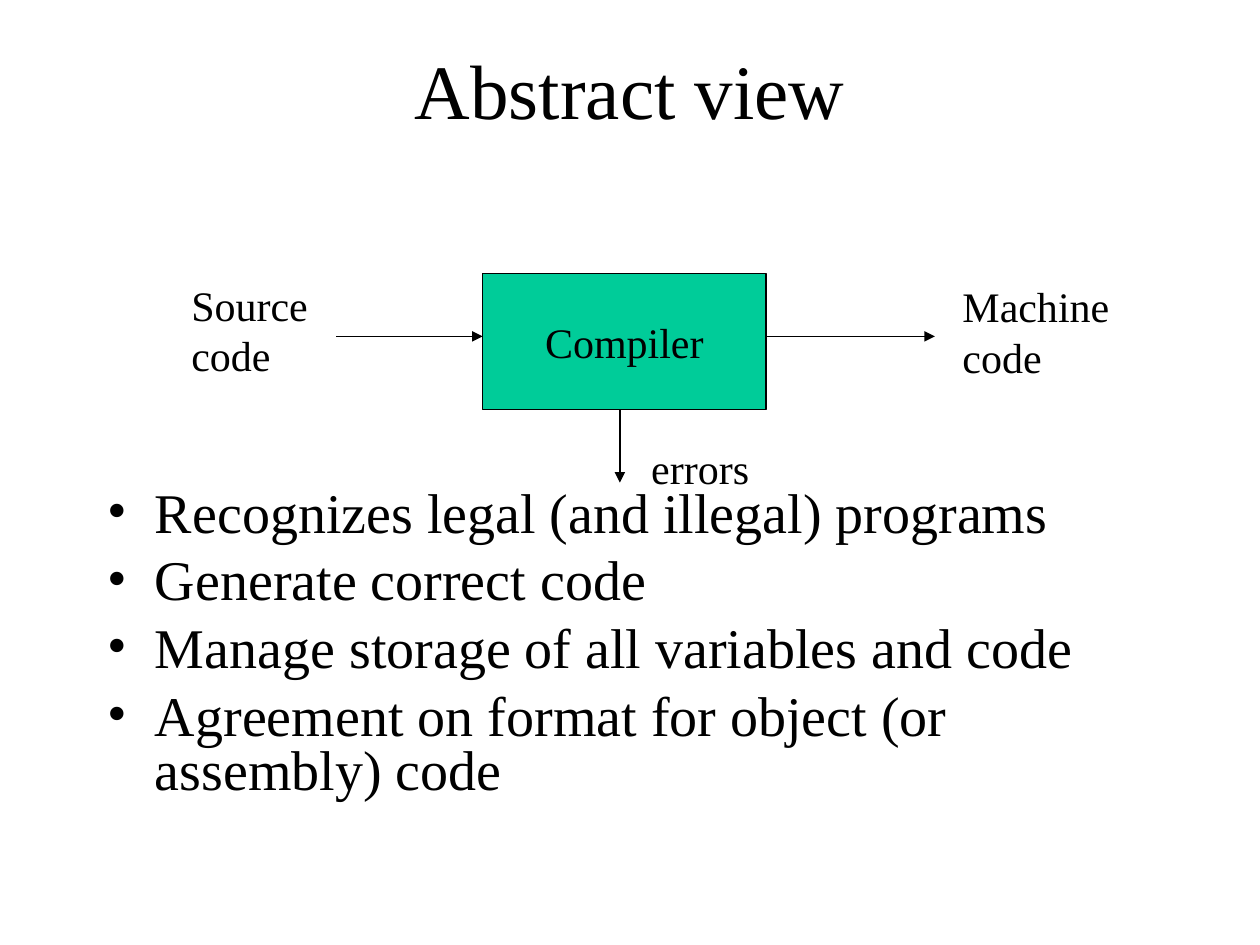
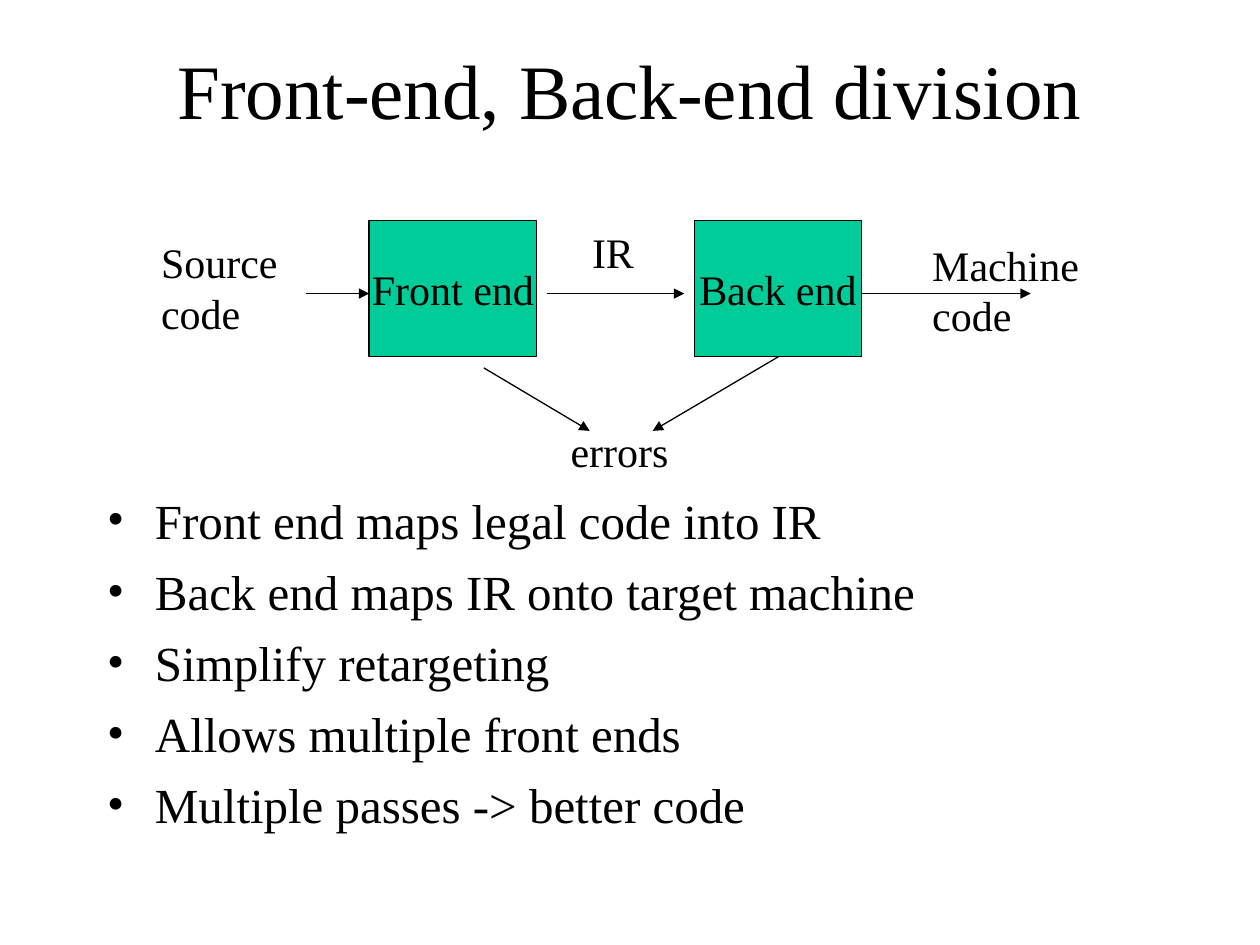
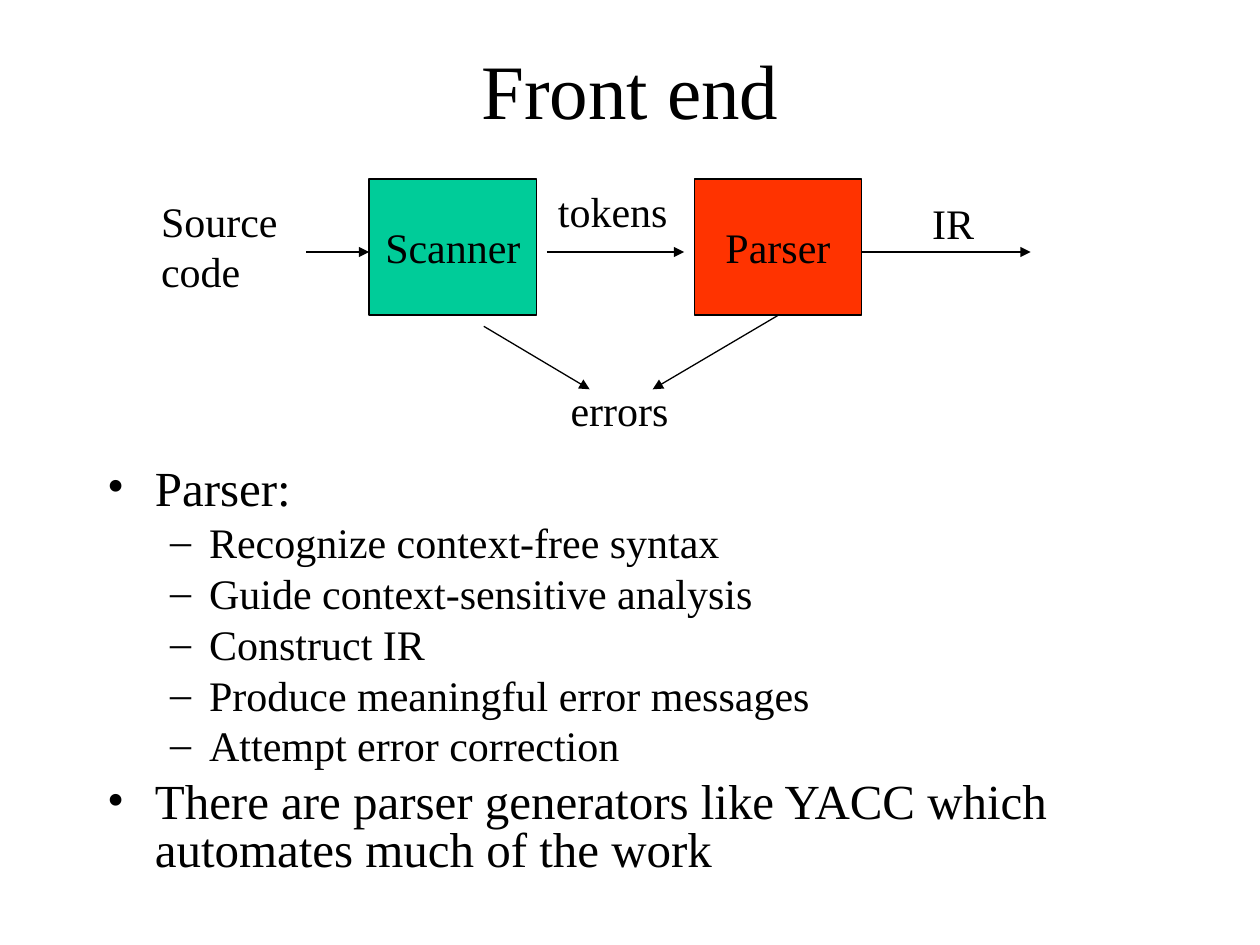
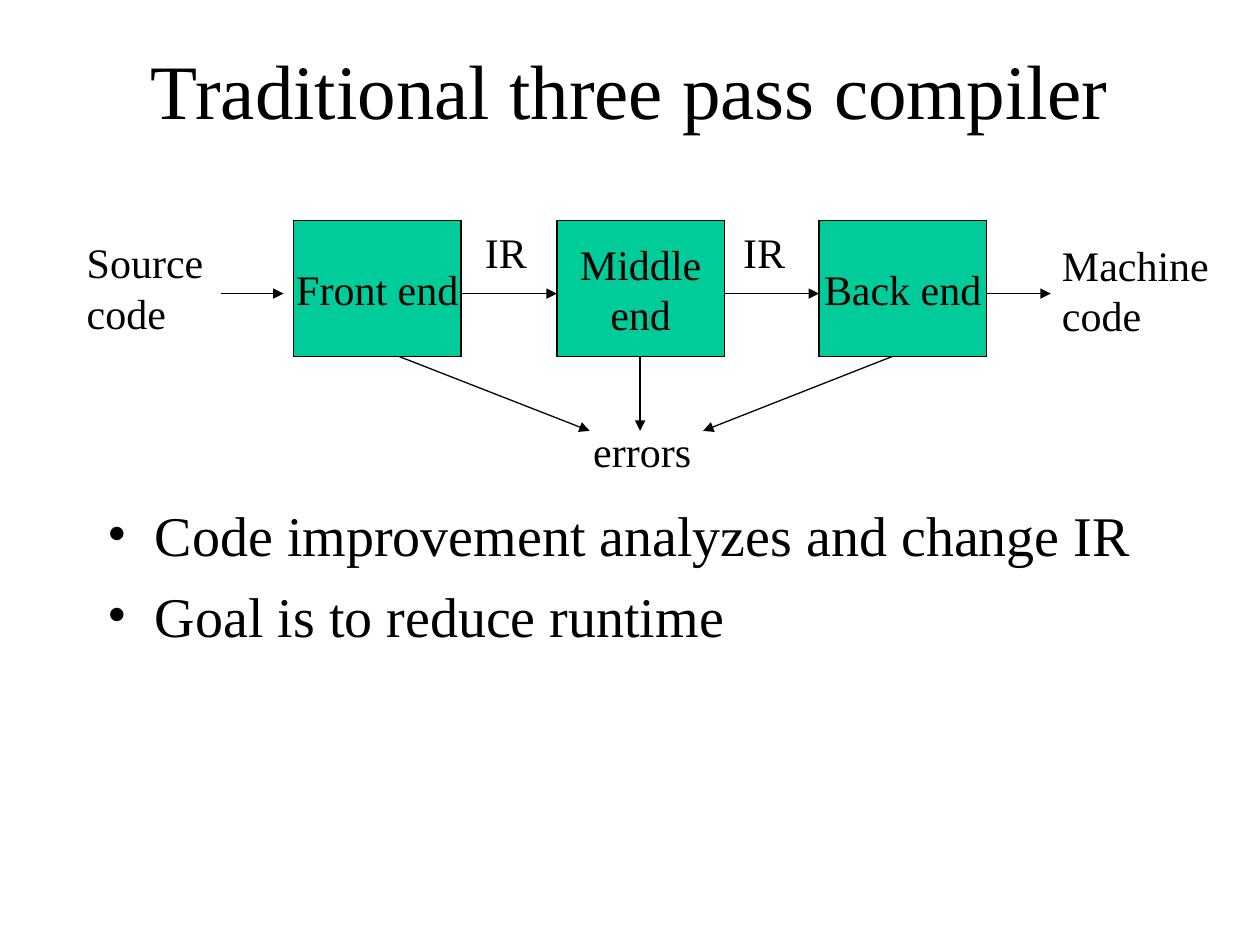
import pptx
import pptx.util
import pptx.dml.color
import pptx.enum.shapes
import pptx.enum.text
import pptx.oxml
import pptx.oxml.ns
from pptx.util import Inches

BLACK = pptx.dml.color.RGBColor(0x00, 0x00, 0x00)
GREEN = pptx.dml.color.RGBColor(0x00, 0xCC, 0x99)
RED = pptx.dml.color.RGBColor(0xFF, 0x33, 0x00)

FONT = "Times New Roman"
TITLE_SIZE, LABEL_SIZE = 44, 24
LINE_WIDTH = pptx.util.Pt(0.75)
BOX_HEIGHT = 1.08
STAGE_WIDTH = 1.33
# Wide enough for each label to stay on its own lines
LABEL_WIDTHS = {"Source\ncode": 1.14, "Machine\ncode": 1.38, "errors": 0.99, "tokens": 1.09, "IR": 0.55}
# Per list level: bullet character, left margin and hanging indent
BULLETS = [("•", 0.38, -0.38), ("–", 0.81, -0.31)]

MIDDLE = pptx.enum.text.MSO_ANCHOR.MIDDLE
CENTER = pptx.enum.text.PP_ALIGN.CENTER
AUTO_SIZE = pptx.enum.text.MSO_AUTO_SIZE


def add_xml(parent, tag, **attributes):
    child = pptx.oxml.parse_xml(f"<a:{tag} {pptx.oxml.ns.nsdecls('a')}/>")
    for name, value in attributes.items():
        child.set(name, value)
    parent.append(child)
    return child


class Deck:
    def __init__(self):
        self.prs = pptx.Presentation()
        self.prs.slide_width, self.prs.slide_height = Inches(10), Inches(7.5)
        self.s = None

    def style(self, p, size):
        for r in p.runs:
            r.font.name = FONT
            r.font.size = pptx.util.Pt(size)
            r.font.color.rgb = BLACK

    def place(self, sp, left, top, width, height):
        sp.left, sp.top = Inches(left), Inches(top)
        sp.width, sp.height = Inches(width), Inches(height)

    def slide(self, title):
        self.s = self.prs.slides.add_slide(self.prs.slide_layouts[1])
        sp = self.s.shapes.title
        self.place(sp, 0.75, 0.08, 8.5, 1.25)
        tf = sp.text_frame
        tf.text = title
        tf.auto_size = AUTO_SIZE.NONE
        tf.vertical_anchor = MIDDLE
        tf.paragraphs[0].alignment = CENTER
        self.style(tf.paragraphs[0], TITLE_SIZE)

    def bullets(self, items, top, height, size, line_spacing=1.0):
        """Fill the body; an item is a text, or a list of second-level texts."""
        sp = self.s.placeholders[1]
        self.place(sp, 0.75, top, 8.5, height)
        rows = []
        for item in items:
            rows += [(text, 1) for text in item] if isinstance(item, list) else [(item, 0)]
        tf = sp.text_frame
        tf.text = "\n".join(text for text, level in rows)
        tf.auto_size = AUTO_SIZE.NONE
        for p, (text, level) in zip(tf.paragraphs, rows):
            level_size = size - 4 * level
            char, margin, indent = BULLETS[level]
            p.level = level
            p.line_spacing = line_spacing
            p.space_before = pptx.util.Pt(level_size / 4)
            self.style(p, level_size)
            pPr = p._p.get_or_add_pPr()
            pPr.set("marL", str(Inches(margin)))
            pPr.set("indent", str(Inches(indent)))
            add_xml(add_xml(pPr, "buClr"), "srgbClr", val=str(BLACK))
            add_xml(pPr, "buFont", typeface=FONT)
            add_xml(pPr, "buChar", char=char)

    def box(self, text, left, top, width=STAGE_WIDTH, fill=GREEN):
        sp = self.s.shapes.add_shape(
            pptx.enum.shapes.MSO_SHAPE.RECTANGLE,
            Inches(left), Inches(top), Inches(width), Inches(BOX_HEIGHT))
        sp.shadow.inherit = False
        sp.fill.solid()
        sp.fill.fore_color.rgb = fill
        sp.line.color.rgb = BLACK
        sp.line.width = LINE_WIDTH
        tf = sp.text_frame
        tf.text = text
        tf.word_wrap = False
        tf.vertical_anchor = MIDDLE
        for p in tf.paragraphs:
            p.alignment = CENTER
            self.style(p, LABEL_SIZE)

    def label(self, text, left, top):
        height = 0.9 if "\n" in text else 0.5
        sp = self.s.shapes.add_textbox(
            Inches(left), Inches(top), Inches(LABEL_WIDTHS[text]), Inches(height))
        tf = sp.text_frame
        tf.text = text
        tf.word_wrap = False
        tf.auto_size = AUTO_SIZE.SHAPE_TO_FIT_TEXT
        for p in tf.paragraphs:
            self.style(p, LABEL_SIZE)

    def arrow(self, x1, y1, x2, y2):
        c = self.s.shapes.add_connector(
            pptx.enum.shapes.MSO_CONNECTOR.STRAIGHT,
            Inches(x1), Inches(y1), Inches(x2), Inches(y2))
        c.line.color.rgb = BLACK
        c.line.width = LINE_WIDTH
        spPr = c._element.spPr
        add_xml(spPr.find(pptx.oxml.ns.qn("a:ln")), "tailEnd", type="triangle")
        add_xml(spPr, "effectLst")

    def flow(self, y, spans):
        """Draw horizontal arrows at height y, one for each (start, end)."""
        for start, end in spans:
            self.arrow(start, y, end, y)

    def two_stages(self, top, first, between, between_left, second, result, second_fill=GREEN):
        """Draw source -> first -> second -> result, with errors from both stages."""
        middle, bottom, errors = top + 0.58, top + BOX_HEIGHT, top + 1.67
        self.box(first, 2.93, top)
        self.box(second, 5.51, top, fill=second_fill)
        self.flow(middle, [(2.43, 2.93), (4.34, 5.43), (6.84, 8.18)])
        self.arrow(3.84, bottom + 0.09, 4.68, errors)
        self.arrow(6.18, bottom, 5.18, errors)
        self.label("Source\ncode", 1.18, top + 0.08)
        self.label(between, between_left, top)
        self.label(result, 7.3, top + 0.1)
        self.label("errors", 4.43, top + 1.58)


def abstract_view(deck):
    deck.slide("Abstract view")
    deck.bullets([
        "Recognizes legal (and illegal) programs",
        "Generate correct code",
        "Manage storage of all variables and code",
        "Agreement on format for object (or assembly) code",
    ], 3.84, 2.82, 32, 0.8)
    deck.box("Compiler", 3.83, 2.17, 2.25)
    deck.flow(2.67, [(2.67, 3.83), (6.08, 7.42)])
    deck.arrow(4.92, 3.25, 4.92, 3.83)
    deck.label("Source\ncode", 1.42, 2.17)
    deck.label("Machine\ncode", 7.54, 2.18)
    deck.label("errors", 5.07, 3.46)


def division(deck):
    deck.slide("Front-end, Back-end division")
    deck.bullets([
        "Front end maps legal code into IR",
        "Back end maps IR onto target machine",
        "Simplify retargeting",
        "Allows multiple front ends",
        "Multiple passes -> better code",
    ], 3.84, 2.82, 28)
    deck.two_stages(1.75, "Front end", "IR", 4.6, "Back end", "Machine\ncode")


def front_end(deck):
    deck.slide("Front end")
    deck.bullets([
        "Parser:",
        [
            "Recognize context-free syntax",
            "Guide context-sensitive analysis",
            "Construct IR",
            "Produce meaningful error messages",
            "Attempt error correction",
        ],
        "There are parser generators like YACC which automates much of the work",
    ], 3.67, 3.58, 28, 0.8)
    deck.two_stages(1.42, "Scanner", "tokens", 4.33, "Parser", "IR", RED)


def three_passes(deck):
    top = 1.75
    bottom, errors = top + BOX_HEIGHT, top + 1.67
    deck.slide("Traditional three pass compiler")
    deck.bullets([
        "Code improvement analyzes and change IR",
        "Goal is to reduce runtime",
    ], 3.92, 2.75, 32)
    for stage, left in [("Front end", 2.33), ("Middle\nend", 4.42), ("Back end", 6.5)]:
        deck.box(stage, left, top)
    deck.flow(top + 0.58, [(1.75, 2.25), (3.67, 4.42), (5.75, 6.5), (7.83, 8.34)])
    for start, end in [(3.17, 4.68), (5.08, 5.08), (7.08, 5.58)]:
        deck.arrow(start, bottom, end, errors)
    deck.label("Source\ncode", 0.59, top + 0.08)
    deck.label("IR", 3.75, top)
    deck.label("IR", 5.8, top)
    deck.label("Machine\ncode", 8.33, top + 0.1)
    deck.label("errors", 4.61, top + 1.58)


def main():
    deck = Deck()
    for build in (abstract_view, division, front_end, three_passes):
        build(deck)
    deck.prs.save("out.pptx")


if __name__ == "__main__":
    main()
